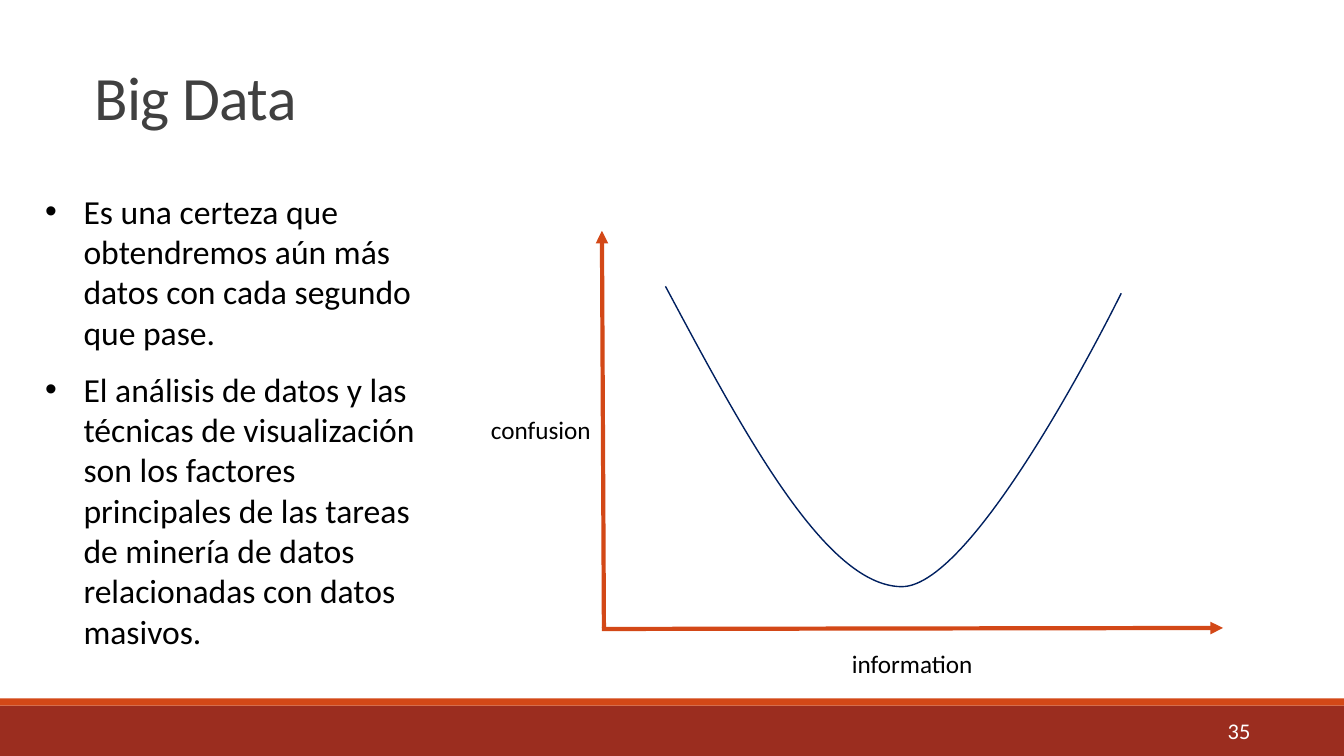
from dataclasses import dataclass

import pptx
import pptx.dml.color
import pptx.enum.shapes
import pptx.enum.text
import pptx.oxml
import pptx.oxml.ns
import pptx.util
from pptx.dml.color import RGBColor
from pptx.enum.text import MSO_ANCHOR, PP_ALIGN
from pptx.util import Inches, Pt

FONT = "Calibri"
BRICK = RGBColor(0x9B, 0x2D, 0x1F)
ORANGE = RGBColor(0xD3, 0x48, 0x17)
NAVY = RGBColor(0x00, 0x20, 0x60)
CHARCOAL = RGBColor(0x40, 0x40, 0x40)
BLACK = RGBColor(0x00, 0x00, 0x00)
WHITE = RGBColor(0xFF, 0xFF, 0xFF)

Point = tuple[float, float]


@dataclass
class Band:
    top: float
    height: float
    color: RGBColor


@dataclass
class Label:
    box: tuple[float, float, float, float]
    paragraphs: list[str]
    size: int
    color: RGBColor = BLACK
    wrap: bool = True
    align: PP_ALIGN = PP_ALIGN.LEFT
    anchor: MSO_ANCHOR = MSO_ANCHOR.TOP
    line_spacing: float = 1.0
    character_spacing: int = 0
    bullets: bool = False


@dataclass
class Axis:
    start: Point
    end: Point


BANDS = [Band(7, 0.5, BRICK), Band(6.93, 0.07, ORANGE)]
LABELS = [
    Label((0.84, 7.07, 11.66, 0.35), ["35"], 16, WHITE,
          align=PP_ALIGN.RIGHT, anchor=MSO_ANCHOR.MIDDLE),
    Label((0.84, 0.65, 11.29, 0.93), ["Big Data"], 44, CHARCOAL,
          line_spacing=0.85, character_spacing=-50),
    Label((0.35, 1.84, 4.11, 4.71), [
        "Es una certeza que obtendremos aún más datos con cada segundo que pase.",
        "El análisis de datos y las técnicas de visualización son los factores "
        "principales de las tareas de minería de datos relacionadas con datos masivos.",
    ], 24, bullets=True),
    Label((4.77, 4.06, 1.2, 0.4), ["confusion"], 18, wrap=False),
    Label((8.35, 6.38, 1.41, 0.4), ["information"], 18, wrap=False),
]
AXES = [Axis((5.99, 6.23), (5.97, 2.29)), Axis((5.97, 6.24), (12.13, 6.23))]
CURVE_START = (6.6, 2.84)
CURVE_CONTROLS = [(7.39, 4.32), (8.19, 5.81), (8.94, 5.82),
                  (9.69, 5.83), (11.12, 2.91), (11.12, 2.91)]


def add_band(slide, band: Band, width: int) -> None:
    shape = slide.shapes.add_shape(
        pptx.enum.shapes.MSO_SHAPE.RECTANGLE, 0, Inches(band.top), width, Inches(band.height))
    shape.shadow.inherit = False
    shape.fill.solid()
    shape.fill.fore_color.rgb = band.color
    shape.line.fill.background()


def add_bullet(paragraph) -> None:
    properties = paragraph._p.get_or_add_pPr()
    properties.set("marL", str(Inches(0.38)))
    properties.set("indent", str(Inches(-0.38)))
    for tag, name, value in (("a:buFont", "typeface", "Arial"), ("a:buChar", "char", "•")):
        element = pptx.oxml.ns.qn(tag)
        properties.append(properties.makeelement(element, {name: value}))


def add_label(slide, label: Label) -> None:
    text_frame = slide.shapes.add_textbox(*map(Inches, label.box)).text_frame
    text_frame.word_wrap = label.wrap
    text_frame.vertical_anchor = label.anchor
    for index, text in enumerate(label.paragraphs):
        paragraph = text_frame.add_paragraph() if index else text_frame.paragraphs[0]
        run = paragraph.add_run()
        run.text = text
        if label.character_spacing:
            run.font._element.set("spc", str(label.character_spacing))
        if label.bullets:
            add_bullet(paragraph)
            paragraph.space_before = Pt(6 if index else 0)
            paragraph.space_after = Pt(6)
        paragraph.alignment = label.align
        paragraph.line_spacing = label.line_spacing
        paragraph.font.name = FONT
        paragraph.font.size = Pt(label.size)
        paragraph.font.color.rgb = label.color


def add_axis(slide, axis: Axis) -> None:
    connector = slide.shapes.add_connector(
        pptx.enum.shapes.MSO_CONNECTOR.STRAIGHT, *map(Inches, axis.start + axis.end))
    connector.line.color.rgb = ORANGE
    connector.line.width = Pt(3)
    line = connector.line._get_or_add_ln()
    line.append(line.makeelement(pptx.oxml.ns.qn("a:tailEnd"), {"type": "triangle"}))
    properties = connector._element.spPr
    properties.append(properties.makeelement(pptx.oxml.ns.qn("a:effectLst"), {}))


def add_curve(slide, start: Point, controls: list[Point]) -> None:
    """Draw cubic Bézier segments, each given by three of the control points."""
    builder = slide.shapes.build_freeform(
        Inches(start[0]), Inches(start[1]), scale=1.0)
    builder.add_line_segments([(Inches(x), Inches(y)) for x, y in controls], close=False)
    shape = builder.convert_to_shape()
    segments = list(shape._element.iter(pptx.oxml.ns.qn("a:lnTo")))
    outline = segments[0].getparent()
    for first in range(0, len(segments), 3):
        cubic = outline.makeelement(pptx.oxml.ns.qn("a:cubicBezTo"), {})
        outline.append(cubic)
        for segment in segments[first:first + 3]:
            cubic.append(segment[0])
            outline.remove(segment)
    shape.shadow.inherit = False
    shape.fill.background()
    shape.line.color.rgb = NAVY
    shape.line.width = Pt(1)


def main() -> None:
    presentation = pptx.Presentation()
    presentation.slide_width = Inches(13.33)
    presentation.slide_height = Inches(7.5)
    slide = presentation.slides.add_slide(presentation.slide_layouts[6])
    for band in BANDS:
        add_band(slide, band, presentation.slide_width)
    for label in LABELS:
        add_label(slide, label)
    for axis in AXES:
        add_axis(slide, axis)
    add_curve(slide, CURVE_START, CURVE_CONTROLS)
    presentation.save("out.pptx")


if __name__ == "__main__":
    main()
